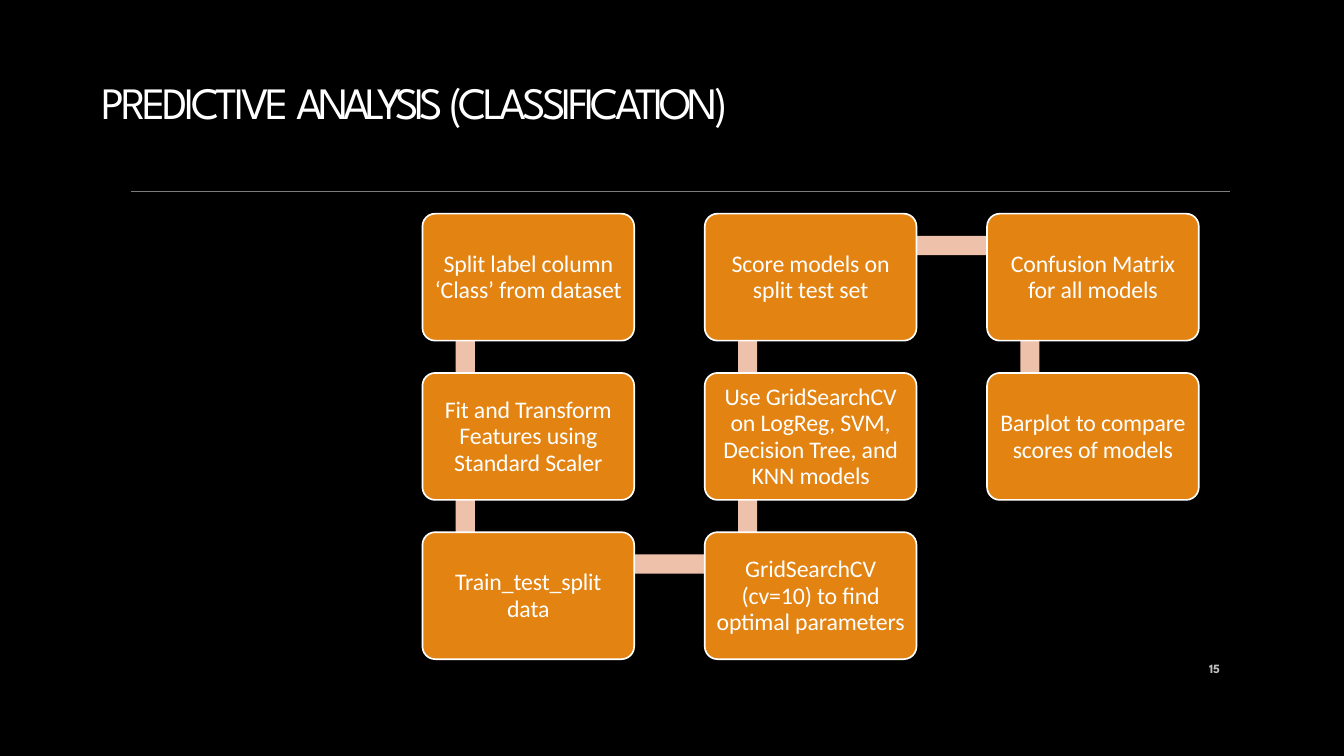
from pptx import Presentation
from pptx.dml.color import RGBColor
from pptx.enum.shapes import MSO_CONNECTOR, MSO_SHAPE
from pptx.enum.text import MSO_ANCHOR, PP_ALIGN
from pptx.oxml.ns import qn
from pptx.util import Inches, Pt
from lxml.etree import SubElement

COLORS = {"background": "000000", "text": "FFFFFF", "number": "BFBFBF",
          "rule": "7D7D7D", "box": "E28312", "bar": "EDC1AA"}
LEFT, TOP = 4.19, 2.12
BOX_W, BOX_H = 2.1, 1.26
COL_STEP, ROW_STEP = 2.8, 1.58
BAR = 0.19

STEPS = [
    (0, 0, ["Split label column", "‘Class’ from dataset"]),
    (0, 1, ["Fit and Transform", "Features using", "Standard Scaler"]),
    (0, 2, ["Train_test_split", "data"]),
    (1, 2, ["GridSearchCV", "(cv=10) to find", "optimal parameters"]),
    (1, 1, ["Use GridSearchCV", "on LogReg, SVM,", "Decision Tree, and", "KNN models"]),
    (1, 0, ["Score models on", "split test set"]),
    (2, 0, ["Confusion Matrix", "for all models"]),
    (2, 1, ["Barplot to compare", "scores of models"]),
]
TITLE = [("PREDICTIVE ", -2.5), ("ANALYSIS ", -3.5), ("(CLASSIFICATION)", -2.8)]


def color(name):
    """Return the named colour."""
    return RGBColor.from_string(COLORS[name])


def set_font(p, name, size, color_name, bold=False):
    """Set the font of a paragraph."""
    p.font.name, p.font.size, p.font.bold = name, Pt(size), bold
    p.font.color.rgb = color(color_name)


def add_spaced_run(p, text, spacing):
    """Add a run with letter spacing in points."""
    r = p.add_run()
    r.text = text
    r._r.get_or_add_rPr().set("spc", str(round(spacing * 100)))


def prepare_frame(tf):
    """Remove margins, wrap and centre text vertically."""
    tf.margin_left = tf.margin_right = tf.margin_top = tf.margin_bottom = 0
    tf.word_wrap = True
    tf.vertical_anchor = MSO_ANCHOR.MIDDLE
    return tf.paragraphs[0]


def add_label(s, x, y, w, h):
    """Add a text box and return its first paragraph."""
    box = s.shapes.add_textbox(Inches(x), Inches(y), Inches(w), Inches(h))
    return prepare_frame(box.text_frame)


def add_block(s, kind, x, y, w, h, fill):
    """Add a filled shape without outline."""
    sp = s.shapes.add_shape(kind, Inches(x), Inches(y), Inches(w), Inches(h))
    sp.shadow.inherit = False
    sp.fill.solid()
    sp.fill.fore_color.rgb = color(fill)
    sp.line.fill.background()
    return sp


def add_bar(s, start, end):
    """Add the bar that links two neighbouring steps."""
    x = LEFT + min(start[0], end[0]) * COL_STEP
    y = TOP + min(start[1], end[1]) * ROW_STEP
    if start[0] == end[0]:
        place = (x + 0.33, y + 0.32, BAR, ROW_STEP)
    else:
        place = (x + 0.43, y + 0.22, COL_STEP, BAR)
    add_block(s, MSO_SHAPE.RECTANGLE, *place, "bar")


def add_step(s, col, row, lines):
    """Add a rounded box with its lines of text."""
    sp = add_block(s, MSO_SHAPE.ROUNDED_RECTANGLE, LEFT + col * COL_STEP,
                   TOP + row * ROW_STEP, BOX_W, BOX_H, "box")
    sp.adjustments[0] = 0.1
    sp.line.color.rgb = color("text")
    sp.line.width = Pt(1.2)
    p = prepare_frame(sp.text_frame)
    p.alignment = PP_ALIGN.CENTER
    p.line_spacing = Pt(19)
    set_font(p, "Calibri", 17, "text")
    for i, line in enumerate(lines):
        if i:
            p.add_line_break()
        add_spaced_run(p, line, -0.1)


def add_rule(s, x1, x2, y):
    """Add the thin rule under the title."""
    line = s.shapes.add_connector(MSO_CONNECTOR.STRAIGHT, Inches(x1), Inches(y),
                                  Inches(x2), Inches(y))
    line.line.color.rgb = color("rule")
    line.line.width = Pt(0.48)
    SubElement(line._element.spPr, qn("a:effectLst"))


def main():
    """Build the slide and save it."""
    prs = Presentation()
    prs.slide_width, prs.slide_height = Inches(13.33), Inches(7.5)
    s = prs.slides.add_slide(prs.slide_layouts[6])
    s.background.fill.solid()
    s.background.fill.fore_color.rgb = color("background")

    add_rule(s, 1.3, 12.2, 1.9)
    p = add_label(s, 1.01, 0.59, 8.66, 0.83)
    set_font(p, "League Spartan", 32, "text")
    p.space_before = Pt(1)
    for text, spacing in TITLE:
        add_spaced_run(p, text, spacing)

    p = add_label(s, 11.5, 6.43, 0.6, 0.4)
    p.text = "15"
    p.alignment = PP_ALIGN.RIGHT
    p.line_spacing = Pt(11)
    set_font(p, "League Spartan", 9, "number", bold=True)

    for start, end in zip(STEPS, STEPS[1:]):
        add_bar(s, start, end)
    for step in STEPS:
        add_step(s, *step)
    prs.save("out.pptx")


if __name__ == "__main__":
    main()
